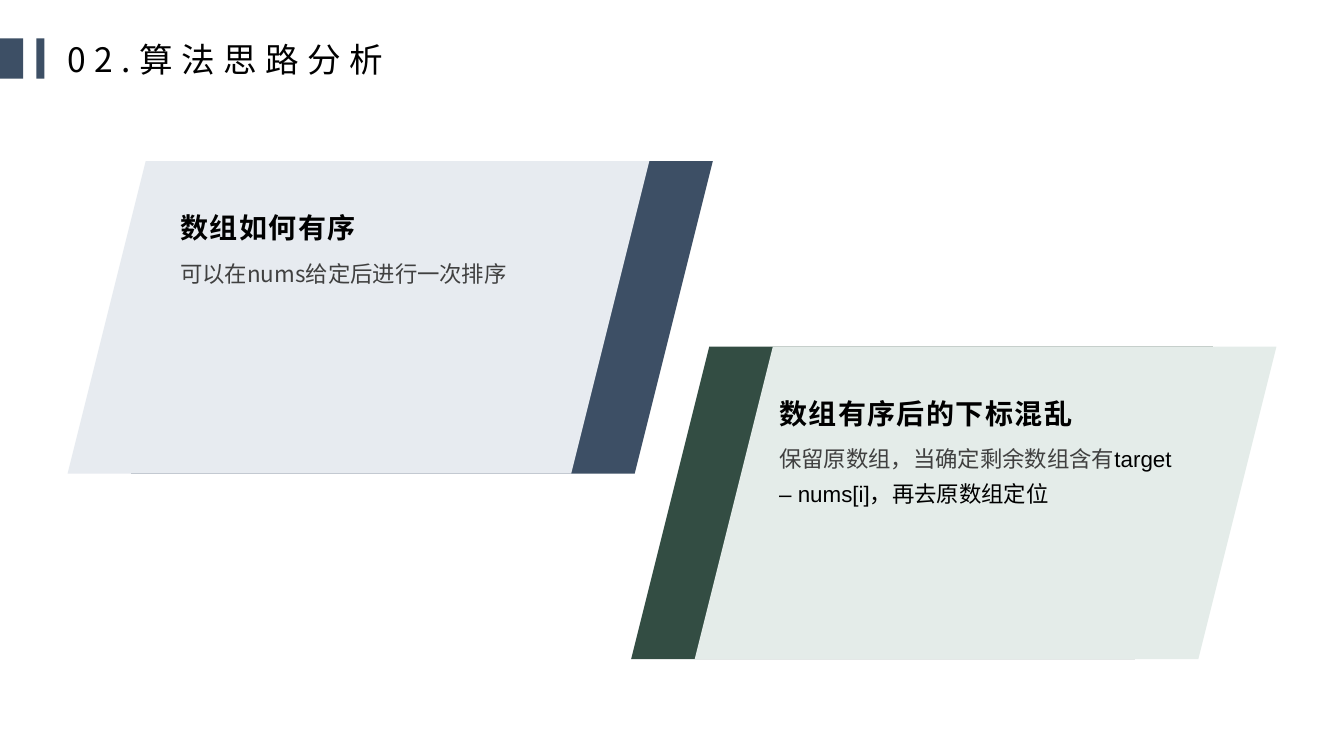
from pptx import Presentation
from pptx.dml.color import RGBColor
from pptx.enum.shapes import MSO_SHAPE as Shape
from pptx.enum.text import MSO_ANCHOR as Anchor
from pptx.oxml.ns import qn
from pptx.util import Inches, Pt
from lxml.etree import SubElement

NAVY = RGBColor(0x3D, 0x4F, 0x65)
MIST = RGBColor(0xE7, 0xEB, 0xF0)
GREEN = RGBColor(0x33, 0x4D, 0x43)
SAGE = RGBColor(0xE4, 0xEC, 0xE9)
BLACK = RGBColor(0, 0, 0)
GRAY = RGBColor(0x40, 0x40, 0x40)
SANS = "Noto Sans CJK SC"

TITLE = "02.算法思路分析"
BARS = [(0, 0.23), (0.36, 0.08)]
CARDS = [
    {"back": (1.3, NAVY), "front": (0.67, MIST), "top": 1.6,
     "text": 1.69, "wide": 2.44, "head": "数组如何有序",
     "body": [("可以在nums给定后进行一次排序", SANS, GRAY)]},
    {"back": (6.26, GREEN), "front": (6.89, SAGE), "top": 3.44,
     "text": 7.63, "wide": 3.33, "head": "数组有序后的下标混乱",
     "body": [("保留原数组，当确定剩余数组含有", SANS, GRAY),
              ("target – nums[i]，再去原数组定位", "Arial", BLACK)]},
]

prs = Presentation()
prs.slide_width, prs.slide_height = Inches(13.33), Inches(7.5)
slide = prs.slides.add_slide(prs.slide_layouts[6])


def add_block(kind, left, top, width, height, color):
    block = slide.shapes.add_shape(
        kind, Inches(left), Inches(top), Inches(width), Inches(height))
    block.shadow.inherit = False
    block.fill.solid()
    block.fill.fore_color.rgb = color
    block.line.fill.background()


def add_text(left, top, width, height, parts, size, bold=False, gap=0):
    box = slide.shapes.add_textbox(
        Inches(left), Inches(top), Inches(width), Inches(height))
    frame = box.text_frame
    frame.word_wrap = True
    for words, face, color in parts:
        run = frame.paragraphs[0].add_run()
        run.text = words
        font = run.font
        font.size, font.bold, font.name = Pt(size), bold, face
        font.color.rgb = color
        props = run._r.get_or_add_rPr()
        SubElement(props, qn("a:ea")).set("typeface", SANS)
        if gap:
            props.set("spc", str(gap * 100))
    return frame


for left, width in BARS:
    add_block(Shape.RECTANGLE, left, 0.38, width, 0.4, NAVY)

title = add_text(0.67, 0.25, 4.68, 0.67, [(TITLE, SANS, BLACK)], 24, gap=6)
title.vertical_anchor = Anchor.MIDDLE
title.margin_left = title.margin_right = 0
title.margin_top = title.margin_bottom = 0

for card in CARDS:
    top, left = card["top"], card["text"]
    for side, color in (card["back"], card["front"]):
        add_block(Shape.PARALLELOGRAM, side, top, 5.77, 3.1, color)
    add_text(left, top + 0.44, card["wide"], 0.44,
             [(card["head"], SANS, BLACK)], 20, bold=True, gap=1)
    body = add_text(left, top + 0.85, 4.12, 1.82, card["body"], 16)
    body.paragraphs[0].line_spacing = 1.3

prs.save("out.pptx")
